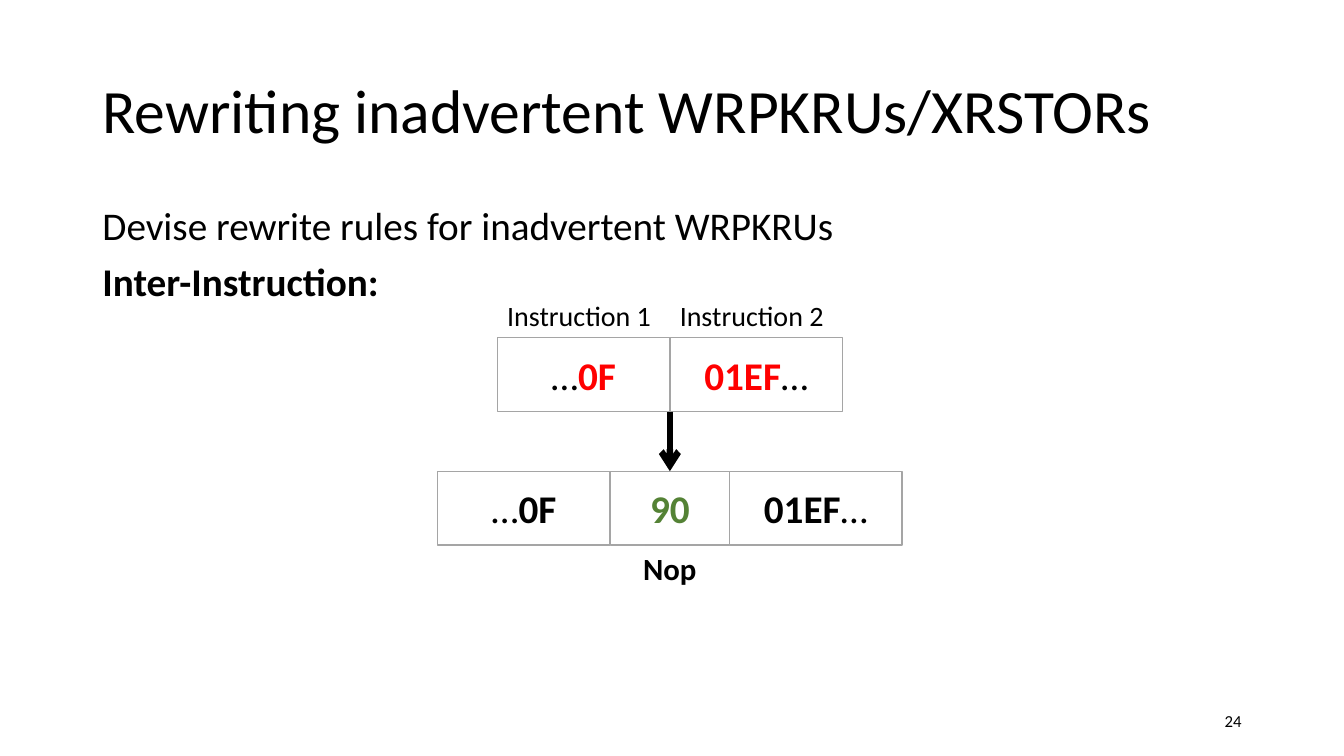
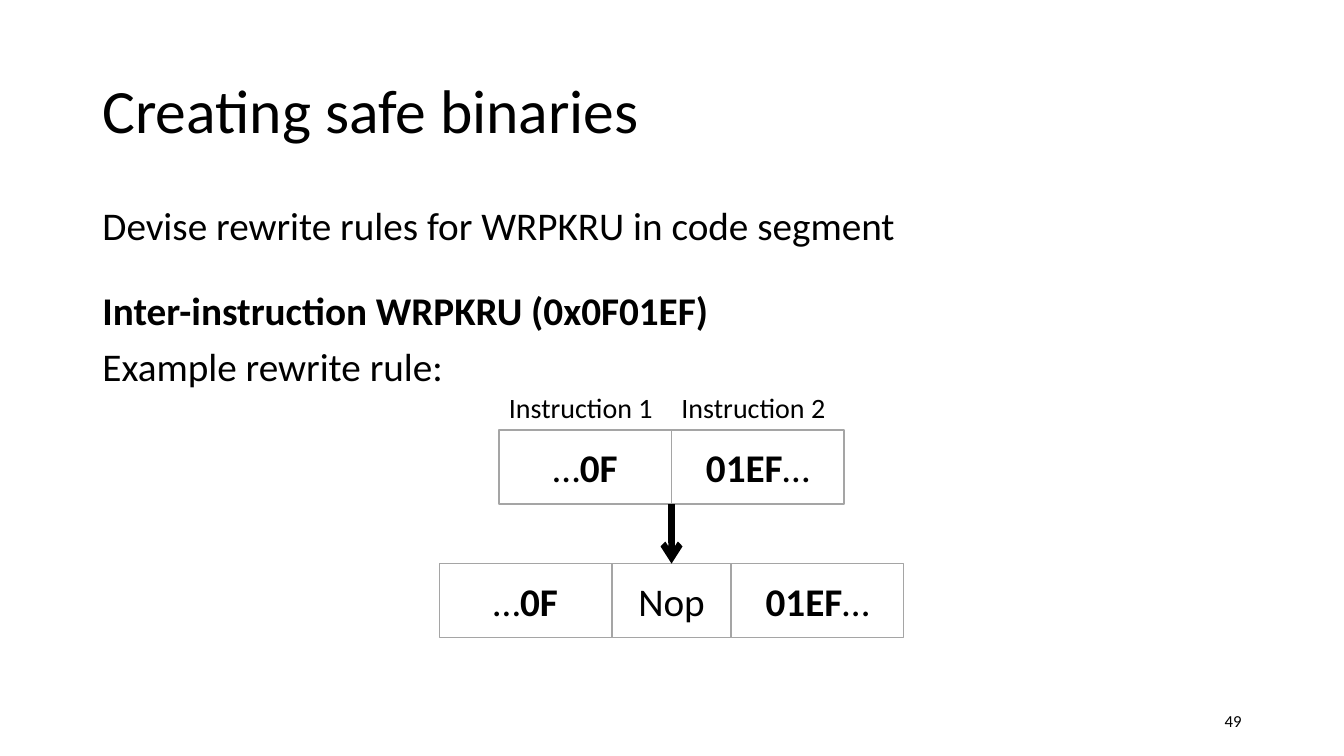
from lxml.etree import SubElement as Sub
from pptx import Presentation
from pptx.dml.color import RGBColor as Rgb
from pptx.enum.shapes import MSO_CONNECTOR as Conn, MSO_SHAPE as Geo
from pptx.enum.text import MSO_ANCHOR as Anchor, MSO_AUTO_SIZE as Auto, PP_ALIGN as Align
from pptx.oxml.ns import qn
from pptx.util import Inches, Pt

UNIT = Inches(1) / 12
COLS, ROWS = 160, 90
SIDE, MID = 20.55, 14.2
LABEL, CELL, GAP, NOTE = 5.3, 8.8, 7.1, 5.6
FONT = "Calibri"
HUES = {"text": "000000", "white": "FFFFFF", "edge": "A5A5A5", "bad": "FF0000", "good": "548235"}
TITLE, BODY, PAGE = (11, 4.8, 138, 17.4), (11, 24, 138, 57.1), (113, 83.4, 36, 4.8)

SLIDES = [
    {
        "title": "Rewriting inadvertent WRPKRUs/XRSTORs",
        "body": [("Devise rewrite rules for inadvertent WRPKRUs", False, 10),
                 ("Inter-Instruction:", True, 10)],
        "page": "24", "spot": (52.1, 34.9), "hue": "bad",
        "fix": ("90", "good", True), "note": "Nop",
    },
    {
        "title": "Creating safe binaries",
        "body": [("Devise rewrite rules for WRPKRU in code segment", False, 10),
                 ("Inter-instruction WRPKRU (0x0F01EF)", True, 30.5),
                 ("Example rewrite rule:", False, 10)],
        "page": "49", "spot": (52.3, 45.9), "hue": "text",
        "fix": ("Nop", "text", False), "note": None,
    },
]


def emu(*cells):
    """Turn grid cells into slide lengths."""
    return [round(c * UNIT) for c in cells]


def hue(name):
    """Look up a colour by its role."""
    return Rgb.from_string(HUES[name])


def style(run, size, tint="text", bold=False):
    """Set the font of one run."""
    font = run.font
    font.name, font.size, font.bold = FONT, Pt(size), bold
    font.color.rgb = hue(tint)


def write(para, runs, size, align=Align.LEFT):
    """Fill a paragraph with (text, colour, bold) runs."""
    para.alignment = align
    for text, tint, bold in runs:
        run = para.add_run()
        run.text = text
        style(run, size, tint, bold)


def label(slide, box, text, size, align=Align.LEFT, bold=False, anchor=Anchor.TOP):
    """Place a plain line of text in a box."""
    frame = slide.shapes.add_textbox(*emu(*box)).text_frame
    frame.word_wrap, frame.vertical_anchor = True, anchor
    write(frame.paragraphs[0], [(text, "text", bold)], size, align)


def cell(slide, box, runs):
    """Draw one outlined code cell."""
    rect = slide.shapes.add_shape(Geo.RECTANGLE, *emu(*box))
    rect.shadow.inherit = False
    rect.fill.solid()
    rect.fill.fore_color.rgb = hue("white")
    rect.line.color.rgb, rect.line.width = hue("edge"), Pt(1)
    rect.text_frame.vertical_anchor = Anchor.MIDDLE
    write(rect.text_frame.paragraphs[0], runs, 28, Align.CENTER)
    return rect


def arrow(slide, x, top, goal):
    """Draw an arrow from a point down to the top of a cell."""
    line = slide.shapes.add_connector(Conn.STRAIGHT, *emu(x, top, x, top + GAP))
    line.end_connect(goal, 0)
    line.line.color.rgb, line.line.width = hue("text"), Pt(4.5)
    Sub(line.line._get_or_add_ln(), qn("a:tailEnd"), type="arrow")
    Sub(line._element.spPr, qn("a:effectLst"))


def code(tint):
    """Give the runs of the two instruction halves."""
    return ([("…", "text", False), ("0F", tint, True)],
            [("01EF", tint, True), ("…", "text", False)])


def diagram(slide, spot, tint, fix, note):
    """Draw the rewrite of two instructions, from its top left corner."""
    left, top = spot
    axis = left + SIDE + MID / 2
    first = top + LABEL
    last = first + CELL + GAP
    for i, runs in enumerate(code(tint)):
        x = axis + (i - 1) * SIDE
        label(slide, (x, top, SIDE, LABEL), f"Instruction {i + 1}", 20)
        cell(slide, (x, first, SIDE, CELL), runs)
    for i, runs in enumerate(code("text")):
        cell(slide, (left + i * (SIDE + MID), last, SIDE, CELL), runs)
    goal = cell(slide, (left + SIDE, last, MID, CELL), [fix])
    arrow(slide, axis, first + CELL, goal)
    if note:
        label(slide, (left + SIDE, last + CELL, MID, NOTE), note, 22, Align.CENTER, True)


def place(shape, box, anchor):
    """Move a placeholder into a box and fix its text frame."""
    shape.left, shape.top, shape.width, shape.height = emu(*box)
    frame = shape.text_frame
    frame.word_wrap, frame.auto_size, frame.vertical_anchor = True, Auto.NONE, anchor
    return frame


def heading(slide, text):
    """Write the slide title."""
    para = place(slide.shapes.title, TITLE, Anchor.MIDDLE).paragraphs[0]
    para.line_spacing = 0.9
    write(para, [(text, "text", False)], 44)


def points(slide, items):
    """Write the body lines without bullets."""
    frame = place(slide.placeholders[1], BODY, Anchor.TOP)
    frame.text = "\n".join(text for text, _, _ in items)
    for para, (_, bold, gap) in zip(frame.paragraphs, items):
        para.line_spacing, para.space_before = 0.9, Pt(gap)
        props = para._p.get_or_add_pPr()
        props.set("marL", "0")
        props.set("indent", "0")
        Sub(props, qn("a:buNone"))
        style(para.runs[0], 28, bold=bold)


def build(deck, data):
    """Add one slide with title, body, page number and diagram."""
    slide = deck.slides.add_slide(deck.slide_layouts[1])
    heading(slide, data["title"])
    points(slide, data["body"])
    label(slide, PAGE, data["page"], 12, Align.RIGHT, anchor=Anchor.MIDDLE)
    diagram(slide, data["spot"], data["hue"], data["fix"], data["note"])


def main():
    """Build and save the deck."""
    deck = Presentation()
    deck.slide_width, deck.slide_height = emu(COLS, ROWS)
    for data in SLIDES:
        build(deck, data)
    deck.save("out.pptx")


if __name__ == "__main__":
    main()
